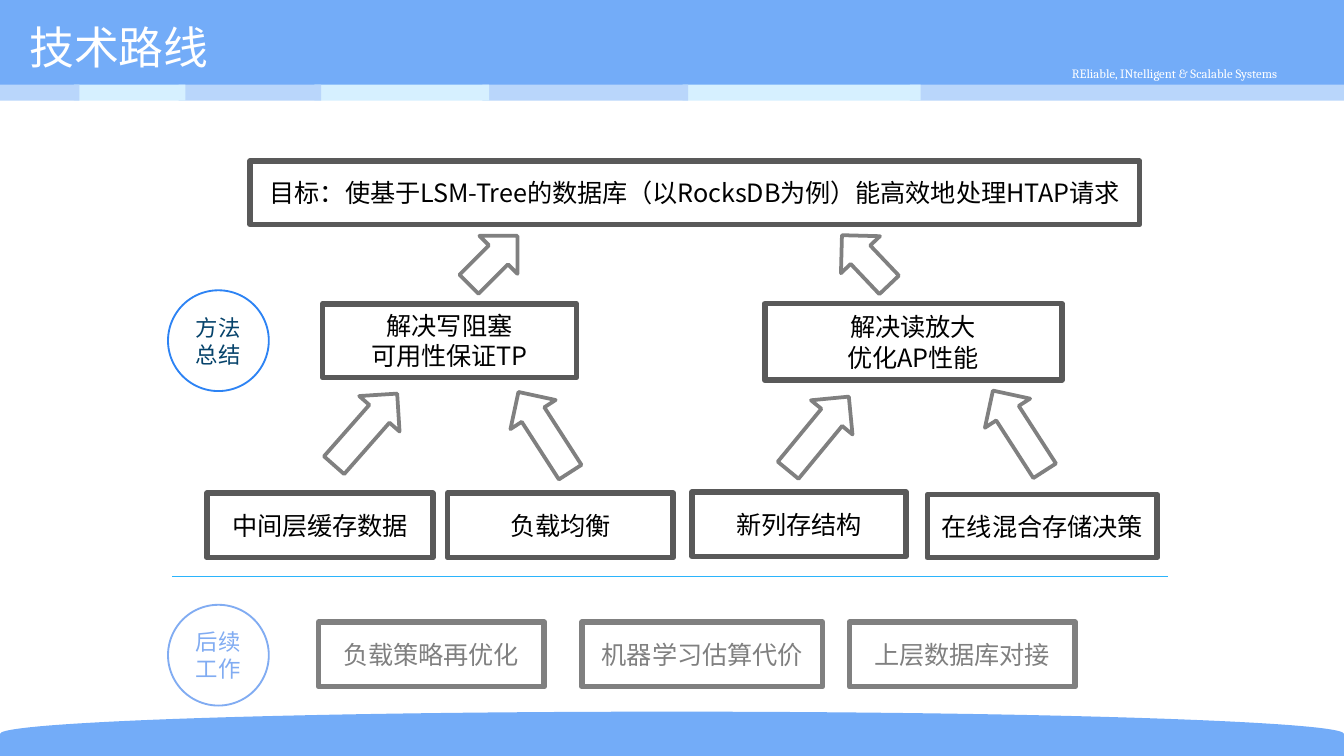
from lxml.etree import SubElement
from pptx import Presentation
from pptx.dml.color import RGBColor
from pptx.enum.shapes import MSO_CONNECTOR, MSO_SHAPE
from pptx.enum.text import MSO_ANCHOR, PP_ALIGN
from pptx.oxml.ns import qn
from pptx.util import Inches, Pt

COLORS = {
    "white": "FFFFFF", "black": "000000", "band": "73ACF8",
    "strip": "B9D6FB", "pale": "D6F0FF", "dark": "595959", "gray": "808080",
    "ring": "2D83F4", "navy": "06436B", "soft": "81ACF2", "divider": "2BB4FC",
}
COLUMNS, ROWS = 100, 56.25
CELL = 0.1
CJK_FONT = "Noto Sans CJK SC"

STRIPS = [(67.7, 32.3), (50.8, 17.7), (35.9, 15.3), (23.4, 13),
          (13.3, 10.6), (5.5, 8.3), (0, 5.9)]
METHOD_BOXES = [
    (18.6, 12, 66.2, 4.7, "目标：使基于LSM-Tree的数据库（以RocksDB为例）能高效地处理HTAP请求"),
    (24, 22.6, 18.9, 5.5, "解决写阻塞\n可用性保证TP"),
    (56.9, 22.6, 22.1, 5.7, "解决读放大\n优化AP性能"),
    (15.4, 36.7, 16.8, 4.8, "中间层缓存数据"),
    (33.3, 36.7, 16.8, 4.8, "负载均衡"),
    (51.5, 36.6, 15.9, 4.8, "新列存结构"),
    (69, 36.8, 17.1, 4.7, "在线混合存储决策"),
]
FUTURE_BOXES = [(23.7, 16.8, "负载策略再优化"), (43.3, 17.9, "机器学习估算代价"),
                (63.2, 16.8, "上层数据库对接")]
ARROWS = [
    (34.7, 16.8, 5.1, 225), (62.4, 16.8, 5.1, 136.5),
    (25.2, 28.4, 7.1, 221.4), (38.5, 28.6, 7.1, 147.2),
    (58.9, 28.7, 7.1, 219.5), (73.8, 28.5, 7.1, 147.2),
]
CIRCLES = [(21.6, "方法总结", "ring", "navy"), (45, "后续工作", "soft", "soft")]


def grid(*cells):
    """Turn counts of grid cells into lengths."""
    return [Inches(cell * CELL) for cell in cells]


def color(name):
    """Look up a named colour."""
    return RGBColor.from_string(COLORS[name])


def write(shape, text, size, font, ink, align=PP_ALIGN.CENTER, inset=0.7):
    """Set and format the text of a shape."""
    frame = shape.text_frame
    frame.text = text
    frame.word_wrap = True
    frame.vertical_anchor = MSO_ANCHOR.MIDDLE
    frame.margin_left, frame.margin_right = grid(inset, inset)
    frame.margin_top, frame.margin_bottom = grid(0.3, 0.3)
    for paragraph in frame.paragraphs:
        paragraph.alignment = align
        for run in paragraph.runs:
            run.font.size = Pt(size)
            run.font.name = font
            run.font.color.rgb = color(ink)
            east_asian = SubElement(run.font._element, qn("a:ea"))
            east_asian.set("typeface", CJK_FONT)


def add_block(slide, preset, cells, fill):
    """Add a filled shape without an outline."""
    shape = slide.shapes.add_shape(preset, *grid(*cells))
    shape.shadow.inherit = False
    shape.fill.solid()
    shape.fill.fore_color.rgb = color(fill)
    shape.line.fill.background()
    return shape


def add_outline(slide, preset, cells, line, width):
    """Add an outlined shape without a fill."""
    shape = slide.shapes.add_shape(preset, *grid(*cells))
    shape.shadow.inherit = False
    shape.fill.background()
    shape.line.color.rgb = color(line)
    shape.line.width = Pt(width)
    return shape


def add_box(slide, cells, text, line, ink):
    """Add a labelled rectangle."""
    box = add_outline(slide, MSO_SHAPE.RECTANGLE, cells, line, 3)
    write(box, text, 13.5, CJK_FONT, ink)


def add_divider(slide, left, right, row):
    """Add a thin horizontal line."""
    divider = slide.shapes.add_connector(
        MSO_CONNECTOR.STRAIGHT, *grid(left, row, right, row))
    divider.line.color.rgb = color("divider")
    divider.line.width = Pt(0.75)
    SubElement(divider._element.spPr, qn("a:effectLst"))


def add_frame(slide):
    """Add the header, its strips, the footer curve and the title."""
    depth = 3.3
    footer_cells = ((COLUMNS - depth) / 2, ROWS - (COLUMNS + depth) / 2,
                    depth, COLUMNS)
    footer = add_block(slide, MSO_SHAPE.FLOWCHART_DELAY, footer_cells, "band")
    footer.rotation = 270
    add_block(slide, MSO_SHAPE.RECTANGLE, (0, 0, COLUMNS, 6.5), "band")
    tagline = slide.shapes.add_textbox(*grid(75.2, 4.4, 24.4, 2.1))
    write(tagline, "REliable, INtelligent & Scalable Systems", 6.8, "Cambria", "white")
    for index, (left, width) in enumerate(STRIPS):
        fill = "pale" if index % 2 else "strip"
        add_block(slide, MSO_SHAPE.RECTANGLE, (left, 6.3, width, 1.2), fill)
    title = slide.shapes.add_textbox(*grid(1.2, 1.2, 74.6, 4.5))
    write(title, "技术路线", 24, "Roboto", "white", PP_ALIGN.LEFT, 1)


def main():
    """Build the slide and save it."""
    presentation = Presentation()
    presentation.slide_width, presentation.slide_height = grid(COLUMNS, ROWS)
    slide = presentation.slides.add_slide(presentation.slide_layouts[6])
    add_frame(slide)
    for *cells, text in METHOD_BOXES:
        add_box(slide, cells, text, "dark", "black")
    for left, top, length, angle in ARROWS:
        arrow = add_outline(slide, MSO_SHAPE.DOWN_ARROW,
                            (left, top, 4, length), "gray", 2)
        arrow.rotation = angle
    for top, text, line, ink in CIRCLES:
        circle = add_outline(slide, MSO_SHAPE.OVAL, (12.5, top, 7.5, 7.5), line, 1)
        write(circle, text, 12, "Calibri", ink)
    add_divider(slide, 12.8, 86.9, 42.9)
    for left, width, text in FUTURE_BOXES:
        add_box(slide, (left, 46.3, width, 4.8), text, "gray", "gray")
    presentation.save("out.pptx")


if __name__ == "__main__":
    main()
